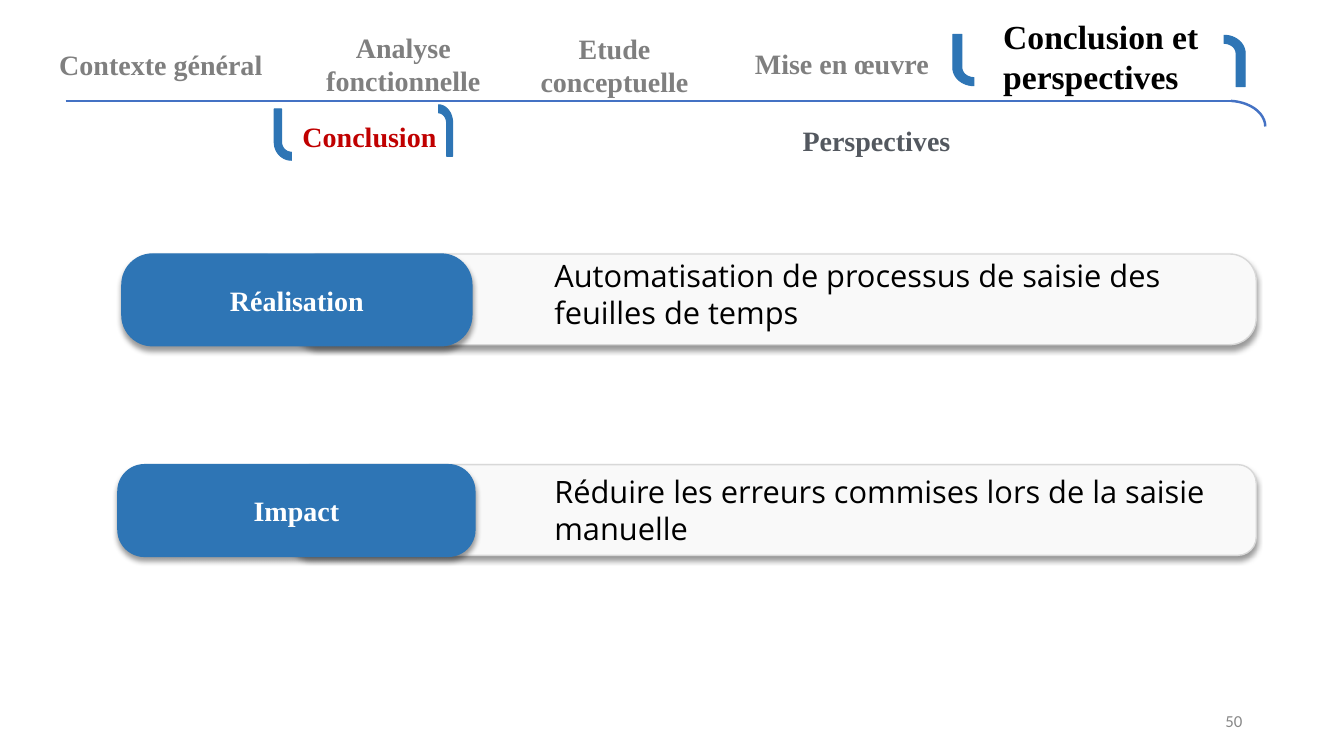
from math import cos, pi, sin

from lxml import etree
from pptx import Presentation
from pptx.dml.color import RGBColor
from pptx.enum.shapes import MSO_CONNECTOR, MSO_SHAPE
from pptx.enum.text import MSO_ANCHOR, PP_ALIGN
from pptx.oxml.ns import qn
from pptx.util import Inches, Pt

LEFT, CENTER, RIGHT = PP_ALIGN.LEFT, PP_ALIGN.CENTER, PP_ALIGN.RIGHT
TOP, MIDDLE, BOTTOM = MSO_ANCHOR.TOP, MSO_ANCHOR.MIDDLE, MSO_ANCHOR.BOTTOM
SERIF, SANS, NUMBER_FONT = "Times New Roman", "Open Sans", "Calibri"
BLUE, RULE_BLUE, GREY = "2E75B5", "4472C4", "7F7F7F"

SECTIONS = [
    ("Contexte général", (0.09, 0.31, 3.01, 0.65)),
    ("Analyse fonctionnelle", (2.89, 0.4, 2.22, 0.47)),
    ("Etude\nconceptuelle", (4.74, 0.41, 2.71, 0.47)),
    ("Mise en œuvre", (6.91, 0.39, 2.88, 0.47)),
]
CURRENT_SECTION = ("Conclusion et perspectives", (9.95, 0.31, 2.59, 0.49))
SUBSECTIONS = [
    ("Conclusion", (3, 1, 2.77, 0.52), "C00000"),
    ("Perspectives", (7.96, 1.04, 2.73, 0.52), "53585F"),
]
BRACKETS = [
    (9.45, 0.34, 0.21, False),
    (12.14, 0.35, 0.21, True),
    (2.72, 1.08, 0.17, False),
    (4.35, 1.04, 0.14, True),
]
CARDS = [
    ("Réalisation", (1.21, 2.52, 3.47, 0.91), 0.334, (2.9, 2.52, 9.56, 0.9), 0.293,
     "Automatisation de processus de saisie des feuilles de temps",
     (5.4, 2.5, 6.23, 0.84), 0.05),
    ("Impact", (1.17, 4.61, 3.54, 0.91), 0.29, (2.89, 4.61, 9.57, 0.9), 0.203,
     "Réduire les erreurs commises lors de la saisie manuelle",
     (5.4, 4.59, 6.95, 0.94), 0.1),
]
PAGE = ("50", (9.42, 6.95, 3, 0.4))


def rgb(value):
    return RGBColor.from_string(value)


def write(sp, text, size, color, font=SERIF, bold=True, align=LEFT,
          anchor=MIDDLE, inset_x=0.1, inset_y=0.05):
    tf = sp.text_frame
    tf.word_wrap = True
    tf.vertical_anchor = anchor
    tf.margin_left = tf.margin_right = Inches(inset_x)
    tf.margin_top = tf.margin_bottom = Inches(inset_y)
    tf.text = text
    for p in tf.paragraphs:
        p.alignment = align
        p.font.size, p.font.name, p.font.bold = Pt(size), font, bold
        p.font.color.rgb = rgb(color)


def add_text(box, *args, **options):
    write(s.shapes.add_textbox(*map(Inches, box)), *args, **options)


def paint(sp, fill, line, width):
    sp.shadow.inherit = False
    sp.fill.solid()
    sp.fill.fore_color.rgb = rgb(fill)
    sp.line.color.rgb = rgb(line)
    sp.line.width = Pt(width)


def add_card(box, radius, fill, line):
    sp = s.shapes.add_shape(MSO_SHAPE.ROUNDED_RECTANGLE, *map(Inches, box))
    sp.adjustments[0] = radius
    paint(sp, fill, line, 1)
    effects = sp._element.spPr.find(qn("a:effectLst"))
    shadow = etree.SubElement(effects, qn("a:outerShdw"), blurRad=str(Pt(4)),
                              dist=str(Pt(3)), dir="5400000", rotWithShape="0")
    black = etree.SubElement(shadow, qn("a:srgbClr"), val="000000")
    etree.SubElement(black, qn("a:alpha"), val="40000")
    return sp


def add_bracket(x, y, width, turned):
    height, bend, stroke, steps = 0.51, 0.33, 0.43, 12
    angles = [pi / 2 * i / steps for i in range(steps + 1)]
    outer = [(width * (1 - cos(a)), bend + (height - bend) * sin(a)) for a in angles]
    inner = [(width * (1 - (1 - stroke) * cos(a)), bend + 0.1 * sin(a))
             for a in reversed(angles)]
    points = [(0, 0), *outer, *inner, (width * stroke, 0)]
    if turned:
        points = [(width - px, height - py) for px, py in points]
    points = [(Inches(x + px), Inches(y + py)) for px, py in points]
    builder = s.shapes.build_freeform(*points[0])
    builder.add_line_segments(points[1:], close=True)
    paint(builder.convert_to_shape(), BLUE, BLUE, 0.75)


prs = Presentation()
prs.slide_width, prs.slide_height = Inches(13.33), Inches(7.5)
s = prs.slides.add_slide(prs.slide_layouts[6])

rule = s.shapes.add_connector(MSO_CONNECTOR.STRAIGHT, Inches(0.65), Inches(1),
                              Inches(12.23), Inches(1))
etree.SubElement(rule._element.spPr, qn("a:effectLst"))
arc = s.shapes.add_shape(MSO_SHAPE.ARC, Inches(11.81), Inches(1), Inches(0.74), Inches(0.51))
arc.adjustments[0], arc.adjustments[1] = 165.967, 0
arc.shadow.inherit = False
arc.fill.background()
for sp in (rule, arc):
    sp.line.color.rgb = rgb(RULE_BLUE)
    sp.line.width = Pt(1.75)

text, box = CURRENT_SECTION
add_text(box, text, 24, "000000", inset_x=0, inset_y=0)
for bracket in BRACKETS:
    add_bracket(*bracket)
for text, box in SECTIONS:
    add_text(box, text, 20, GREY, align=CENTER)
for text, box, color in SUBSECTIONS:
    add_text(box, text, 20, color, anchor=BOTTOM, inset_x=0, inset_y=0)

for label, tab, tab_radius, panel, panel_radius, text, box, inset in CARDS:
    add_card(panel, panel_radius, "F9F9F9", "D8D8D8")
    write(add_card(tab, tab_radius, BLUE, BLUE), label, 20, "FFFFFF", align=CENTER)
    add_text(box, text, 22, "000000", font=SANS, bold=False, anchor=TOP, inset_y=inset)

text, box = PAGE
add_text(box, text, 12, "888888", font=NUMBER_FONT, bold=False, align=RIGHT)

prs.save("out.pptx")
